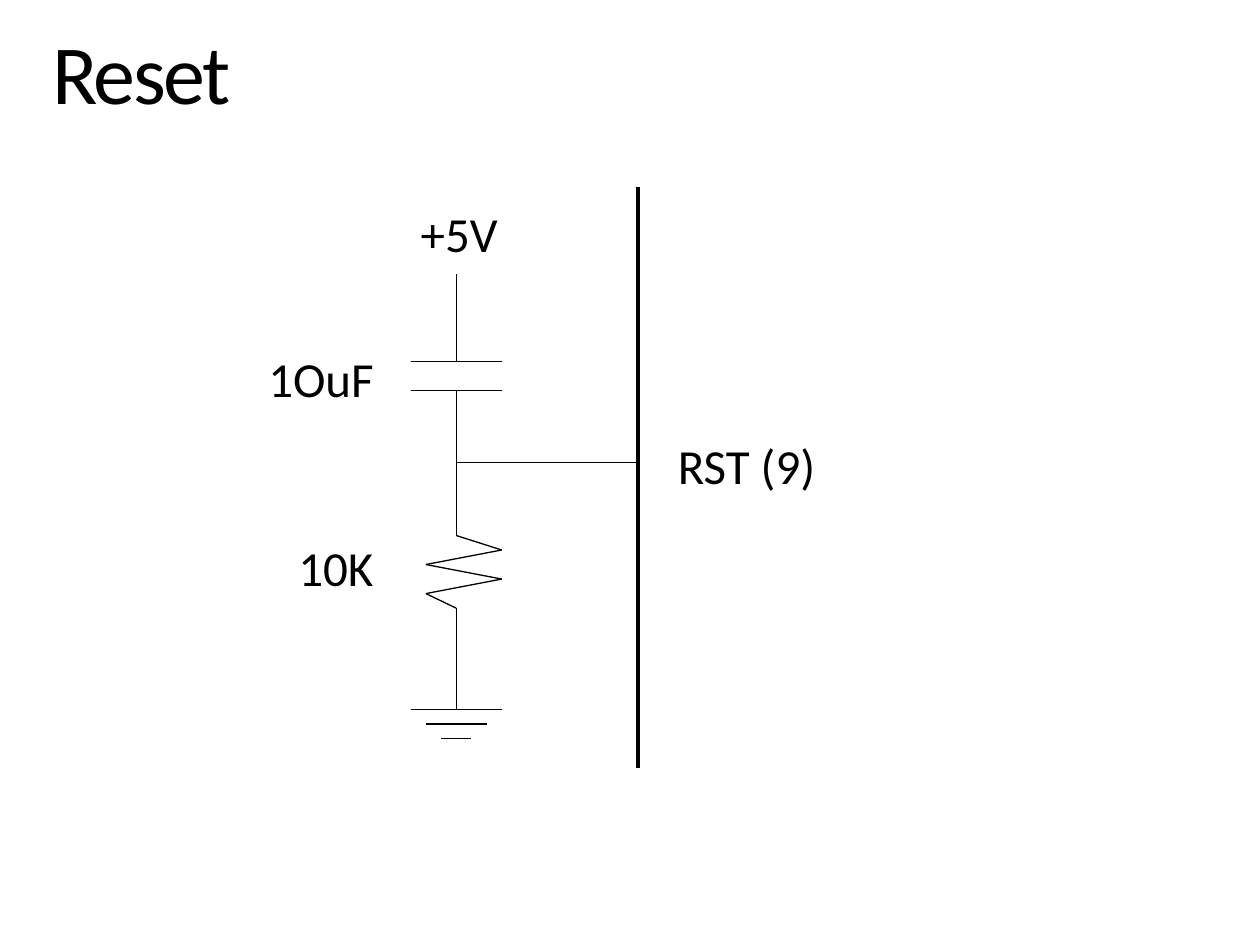
import pptx
import pptx.dml.color
import pptx.enum.shapes
import pptx.enum.text
import pptx.oxml.ns
import pptx.util
import lxml.etree

Pt = pptx.util.Pt


def rgb(value):
    return pptx.dml.color.RGBColor.from_string(value)


def add_line(shapes, x1, y1, x2, y2, width=0.75):
    c = shapes.add_connector(
        pptx.enum.shapes.MSO_CONNECTOR.STRAIGHT, Pt(x1), Pt(y1), Pt(x2), Pt(y2))
    c.line.color.rgb = rgb("000000")
    c.line.width = Pt(width)
    lxml.etree.SubElement(c._element.spPr, pptx.oxml.ns.qn("a:effectLst"))


prs = pptx.Presentation()
prs.slide_width, prs.slide_height = Pt(720), Pt(540)
s = prs.slides.add_slide(prs.slide_layouts[5])

title = s.shapes.title
title.left, title.top, title.width, title.height = Pt(30), Pt(18), Pt(660), Pt(52.5)
tf = title.text_frame
tf.text = "Reset"
tf.margin_left = tf.margin_top = tf.margin_right = tf.margin_bottom = 0
tf.vertical_anchor = pptx.enum.text.MSO_ANCHOR.TOP
tf.auto_size = pptx.enum.text.MSO_AUTO_SIZE.SHAPE_TO_FIT_TEXT
p = tf.paragraphs[0]
p.alignment = pptx.enum.text.PP_ALIGN.LEFT
p.line_spacing = 0.9
r = p.runs[0]
r.font.name = "Calibri"
r.font.size = Pt(48)
r.font.color.rgb = rgb("000000")
r._r.get_or_add_rPr().set("spc", "-150")

circuit = s.shapes.add_group_shape().shapes
wire_x, chip_x = 260.7, 364.8
step = 8.3
supply_y, plate_top, plate_bottom, node_y = 156.7, 206.4, 223, 264.5
resistor_top = 306
resistor_bottom = resistor_top + 5 * step
ground_y = 405.5

add_line(circuit, chip_x, 106.9, chip_x, 438.6, 2.25)
add_line(circuit, chip_x, node_y, wire_x, node_y)

for y1, y2 in [(supply_y, plate_top), (plate_bottom, node_y),
               (node_y, resistor_top), (resistor_bottom, ground_y)]:
    add_line(circuit, wire_x, y1, wire_x, y2)

for y, half in [(plate_top, 26), (plate_bottom, 26), (ground_y, 26),
                (ground_y + step, 17.33), (ground_y + 2 * step, 8.67)]:
    add_line(circuit, wire_x - half, y, wire_x + half, y)

zigzag = [wire_x + dx for dx in (0, 26, -17.33, 26, -17.33, 0)]
for i in range(5):
    y = resistor_top + i * step
    add_line(circuit, zigzag[i], y, zigzag[i + 1], y + step)

labels = [
    ("RST (9)", 380.2, 245.5, 94.3),
    ("+5V", 233.3, 113, 59),
    ("10K", 163.4, 303.8, 58.3),
    ("1OuF", 146.2, 195.8, 75.6),
]
for text, x, y, width in labels:
    sp = circuit.add_textbox(Pt(x), Pt(y), Pt(width), Pt(41))
    tf = sp.text_frame
    tf.text = text
    tf.word_wrap = False
    tf.auto_size = pptx.enum.text.MSO_AUTO_SIZE.SHAPE_TO_FIT_TEXT
    r = tf.paragraphs[0].runs[0]
    r.font.name = "Calibri"
    r.font.size = Pt(28)
    r.font.color.rgb = rgb("000000")

prs.save("out.pptx")
